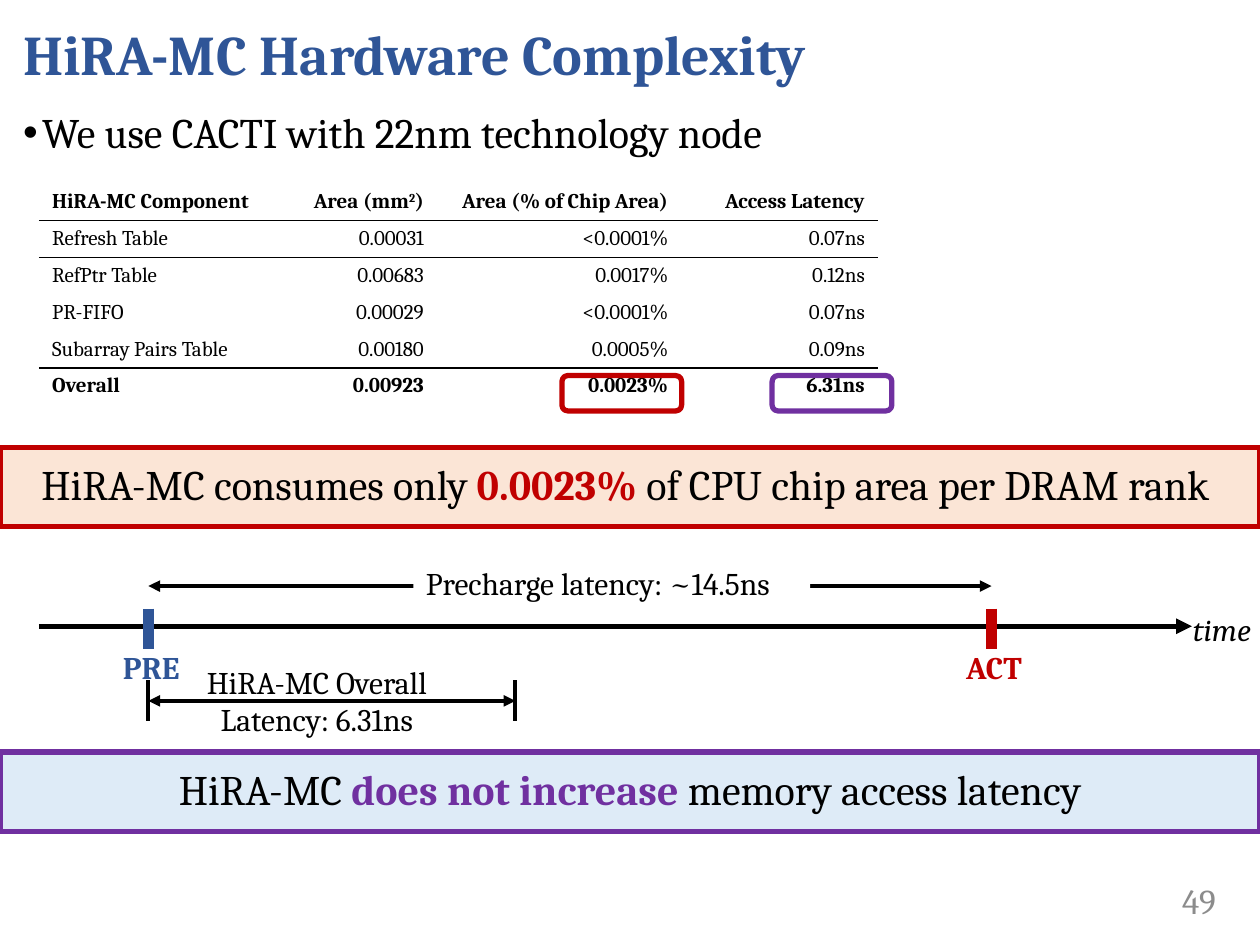
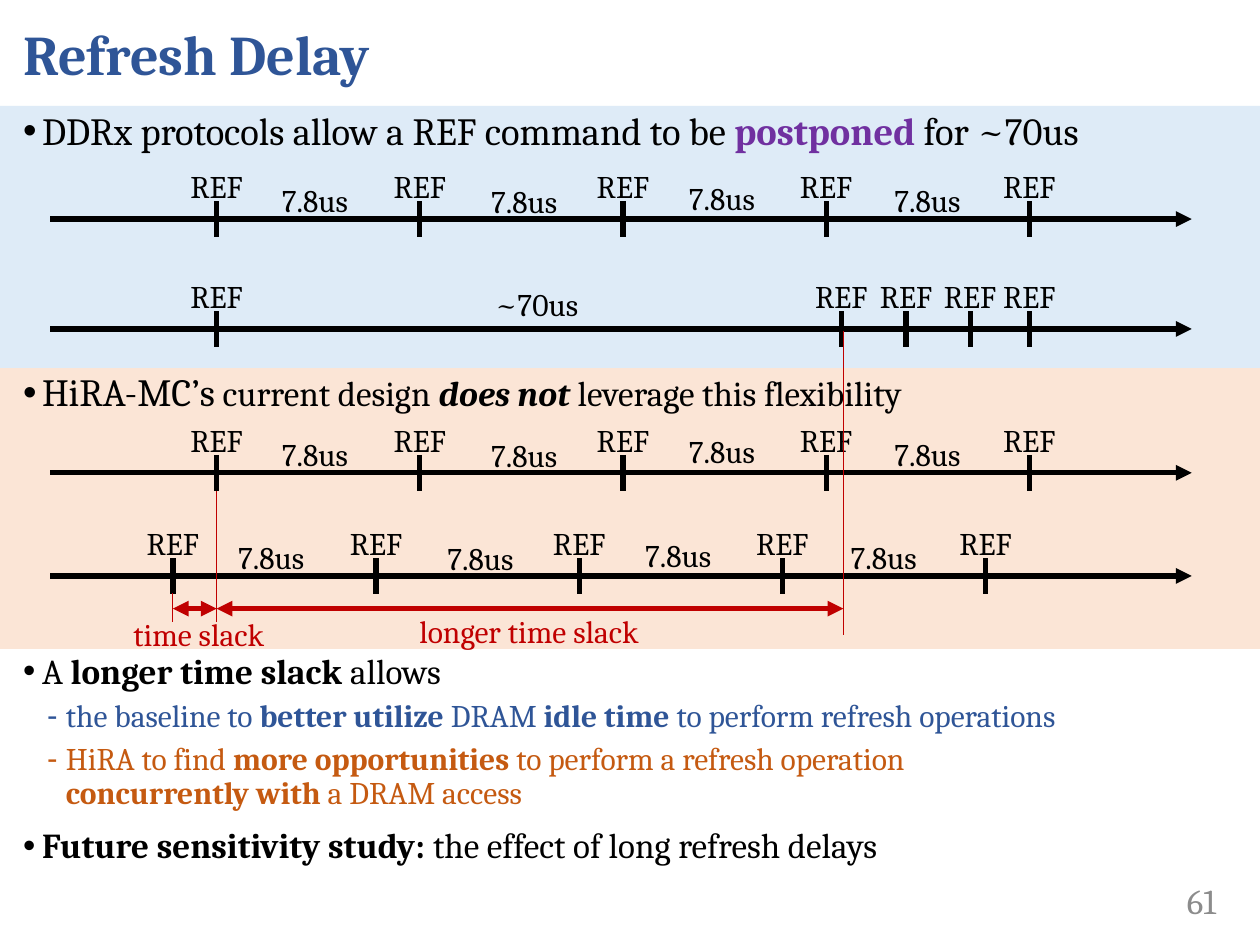
from lxml import etree
from pptx import Presentation
from pptx.dml.color import RGBColor
from pptx.enum import shapes, text
from pptx.oxml import ns
from pptx.util import Pt

FONT = "Cambria"
BLACK, WHITE, GREY = "000000", "FFFFFF", "8C8C8C"
BLUE, RED, PURPLE, ORANGE = "2F5597", "C00000", "7030A0", "C55A11"
PALE_BLUE, PALE_ORANGE = "DEEBF7", "FBE5D6"
WIDTH, HEIGHT = 720, 540
LEFT, RIGHT = text.PP_ALIGN.LEFT, text.PP_ALIGN.RIGHT
CENTER = text.PP_ALIGN.CENTER
MIDDLE = text.MSO_ANCHOR.MIDDLE
BODY_LEAD = 0.9


def rgb(value):
    return RGBColor.from_string(value)


def sub(parent, tag, **attrs):
    return etree.SubElement(parent, ns.qn(tag), **attrs)


# ---- Text ----

def add_runs(p, runs, size, color=BLACK):
    """Each run is a string, or (string, changes to size, color, b, i, base)."""
    for run in runs:
        words, style = (run, {}) if isinstance(run, str) else run
        for n, piece in enumerate(words.split("\n")):
            if n:
                p.add_line_break()
            if not piece:
                continue
            r = p.add_run()
            r.text = piece
            r.font.name = FONT
            r.font.size = Pt(style.get("size", size))
            r.font.bold = style.get("b", False)
            r.font.italic = style.get("i", False)
            r.font.color.rgb = rgb(style.get("color", color))
            if "base" in style:
                r.font._element.set("baseline", str(style["base"] * 1000))


def place(sp, left, top, width, height):
    sp.left, sp.top, sp.width, sp.height = map(Pt, (left, top, width, height))


def add_label(s, words, left, top, width, height=28.8, size=18, color=BLACK,
              align=LEFT, fill=None, wrap=False, **style):
    sp = s.shapes.add_textbox(*map(Pt, (left, top, width, height)))
    if fill:
        sp.fill.solid()
        sp.fill.fore_color.rgb = rgb(fill)
    tf = sp.text_frame
    tf.word_wrap = wrap
    tf.auto_size = text.MSO_AUTO_SIZE.SHAPE_TO_FIT_TEXT
    p = tf.paragraphs[0]
    p.alignment = align
    add_runs(p, [(words, style)], size, color)
    return sp


def add_bullet(p, char, margin):
    pPr = p._p.get_or_add_pPr()
    pPr.set("marL", str(Pt(margin)))
    pPr.set("indent", str(Pt(-10.8)))
    sub(pPr, "a:buFont", typeface="Arial")
    sub(pPr, "a:buChar", char=char)


def fill_body(s, items):
    """Each item is (level, space before, size, colour, runs)."""
    body = s.placeholders[1]
    place(body, 6, 60.5, 708, 440)
    tf = body.text_frame
    tf.auto_size = text.MSO_AUTO_SIZE.NONE
    for n, (level, before, size, color, runs) in enumerate(items):
        p = tf.add_paragraph() if n else tf.paragraphs[0]
        p.level = level
        add_bullet(p, "•-"[level], (10.8, 24.5)[level])
        p.line_spacing = BODY_LEAD
        p.space_before = Pt(before)
        p.space_after = Pt(0)
        add_runs(p, runs, size, color)


def gap_for(sizes):
    """Room left for the diagram between two bullets, counted in text lines."""
    return round(sum(10 + size * 1.2 * BODY_LEAD for size in sizes) + 10, 1)


def new_slide(prs, title, number):
    s = prs.slides.add_slide(prs.slide_layouts[1])
    place(s.shapes.title, 6, 0, 708, 60.5)
    tf = s.shapes.title.text_frame
    tf.auto_size = text.MSO_AUTO_SIZE.NONE
    tf.vertical_anchor = MIDDLE
    p = tf.paragraphs[0]
    p.alignment = LEFT
    p.space_after = Pt(6)
    add_runs(p, [(title, {"b": True})], 32, BLUE)
    page = add_label(s, number, 624, 500.4, 78, size=20, color=GREY,
                     align=RIGHT, wrap=True)
    page.text_frame.auto_size = text.MSO_AUTO_SIZE.NONE
    page.text_frame.vertical_anchor = MIDDLE
    return s


# ---- Shapes and lines ----

def add_box(s, left, top, width, height, fill=None, line=None,
            kind=shapes.MSO_SHAPE.RECTANGLE):
    sp = s.shapes.add_shape(kind, *map(Pt, (left, top, width, height)))
    sp.shadow.inherit = False
    if fill:
        sp.fill.solid()
        sp.fill.fore_color.rgb = rgb(fill)
    else:
        sp.fill.background()
    if line:
        sp.line.color.rgb = rgb(line)
        sp.line.width = Pt(3)
    else:
        sp.line.fill.background()
    return sp


def add_banner(s, top, fill, line, runs):
    tf = add_box(s, 0, top, WIDTH, 45.4, fill, line).text_frame
    tf.word_wrap = True
    tf.vertical_anchor = MIDDLE
    p = tf.paragraphs[0]
    p.alignment = CENTER
    p.line_spacing = BODY_LEAD
    add_runs(p, runs, 24)


def add_band(s, top, height, fill):
    band = add_box(s, 0, top, WIDTH, height, fill)
    s.shapes._spTree.insert(2, band._element)  # behind the placeholders


def add_line(s, x1, y1, x2, y2, color=BLACK, width=3.0, arrows=""):
    """arrows holds 'head' and/or 'tail' for the start and the end."""
    c = s.shapes.add_connector(shapes.MSO_CONNECTOR.STRAIGHT,
                               *map(Pt, (x1, y1, x2, y2)))
    c.line.color.rgb = rgb(color)
    c.line.width = Pt(width)
    ln = c.line._get_or_add_ln()
    for end in ("head", "tail"):
        if end in arrows:
            sub(ln, f"a:{end}End", type="triangle")
    sub(c._element.spPr, "a:effectLst")


# ---- Table ----

def rule_cell(cell, sides):
    tcPr = cell._tc.get_or_add_tcPr()
    for side in ("B", "T"):
        if side in sides:
            ln = etree.Element(ns.qn(f"a:ln{side}"), w=str(Pt(1)))
            sub(sub(ln, "a:solidFill"), "a:srgbClr", val=BLACK)
            tcPr.insert(0, ln)


def add_cost_table(s, left, top, widths, rows, ruled_rows, bold_rows):
    row_height = 21
    t = s.shapes.add_table(len(rows), len(widths), Pt(left), Pt(top),
                           Pt(sum(widths)), Pt(row_height * len(rows))).table
    t.first_row = t.horz_banding = False
    for col, width in zip(t.columns, widths):
        col.width = Pt(width)
    for i, row in enumerate(rows):
        t.rows[i].height = Pt(row_height)
        sides = "B" * (i in ruled_rows) + "T" * (i - 1 in ruled_rows)
        for j, value in enumerate(row):
            cell = t.cell(i, j)
            cell.fill.background()
            rule_cell(cell, sides)
            p = cell.text_frame.paragraphs[0]
            p.alignment = RIGHT if j else LEFT
            runs = [value] if isinstance(value, str) else value
            bold = {"b": i in bold_rows}
            add_runs(p, [(r, bold) if isinstance(r, str)
                         else (r[0], {**bold, **r[1]}) for r in runs], 12)


# ---- Timelines of refresh commands ----

FIRST_REF, REF_STEP = 123.8, 116.1
INTERVALS = ((30.2, -25.2), (149.8, -24.5), (262.8, -26.6), (380.2, -25.2))


def regular_refs(first):
    return [first + REF_STEP * n for n in range(5)]


def add_timeline(s, y, refs, intervals=False):
    add_line(s, 28.8, y, 681, y, arrows="tail")
    for x in refs:
        add_line(s, x, y - 10.2, x, y + 10.2)
        add_label(s, "REF", x - 22.1, y - 33.1, 49.7)
    if intervals:
        for dx, dy in INTERVALS:
            add_label(s, "7.8us", refs[0] + dx, y + dy, 56.2)


# ---- Slides ----

def complexity_slide(prs):
    s = new_slide(prs, "HiRA-MC Hardware Complexity", "49")
    fill_body(s, [(0, 0, 24, BLACK, ["We use CACTI with 22nm technology node"])])
    rows = [
        ["HiRA-MC Component", ["Area (mm", ("2", {"base": 30}), ")"],
         "Area (% of Chip Area)", "Access Latency"],
        ["Refresh Table", "0.00031", "<0.0001%", "0.07ns"],
        ["RefPtr Table", "0.00683", "0.0017%", "0.12ns"],
        ["PR-FIFO", "0.00029", "<0.0001%", "0.07ns"],
        ["Subarray Pairs Table", "0.00180", "0.0005%", "0.09ns"],
        ["Overall", "0.00923", "0.0023%", "6.31ns"],
    ]
    add_cost_table(s, 22.6, 105, (129.6, 97.2, 139.7, 112.3), rows,
                   ruled_rows=(0, 1, 4), bold_rows=(0, 5))
    for left, color in ((321.1, RED), (441.2, PURPLE)):
        add_box(s, left, 214.6, 68.4, 20.2, line=color,
                kind=shapes.MSO_SHAPE.ROUNDED_RECTANGLE)
    add_banner(s, 429.8, PALE_BLUE, PURPLE, [
        "HiRA-MC ", ("does not increase ", {"b": True, "color": PURPLE}),
        "memory access latency"])
    add_banner(s, 255.6, PALE_ORANGE, RED, [
        "HiRA-MC consumes only ", ("0.0023%", {"b": True, "color": RED}),
        " of CPU chip area per DRAM rank "])

    # HiRA-MC latency measured from PRE
    pre, act, done = 84.8, 566.6, 294.5
    add_line(s, pre, 400.5, done, 400.5, width=2.25, arrows="head tail")
    add_label(s, "HiRA-MC Overall\nLatency: 6.31ns", 108.7, 375.1, 144.7, 51.1,
              align=CENTER)
    for x in (done, pre):
        add_line(s, x, 388.8, x, 411.8, width=2.25)

    # Command timeline
    add_line(s, 22.3, 357.9, 681.1, 357.9, arrows="tail")
    for x, name, color in ((pre, "PRE", BLUE), (act, "ACT", RED)):
        add_line(s, x, 347.8, x, 370.8, color, 6)
        add_label(s, name, x - 21.6, 366.5, 48.2, color=color, b=True)
    add_line(s, pre, 334.9, act, 334.9, width=2.25, arrows="head tail")
    add_label(s, "Precharge latency: ~14.5ns", 236.2, 319, 226.8, fill=WHITE)
    add_label(s, "time", 674.6, 344.9, 49.7, i=True)


def delay_slide(prs):
    s = new_slide(prs, "Refresh Delay", "61")
    add_band(s, 60.5, 149.8, PALE_BLUE)
    add_band(s, 210.3, 160.5, PALE_ORANGE)
    bold, small = {"b": True}, {"size": 20}
    fill_body(s, [
        (0, 0, 22, BLACK, [
            "DDRx protocols allow a REF command to be ",
            ("postponed", {"b": True, "color": PURPLE}), " for ~70us"]),
        (0, gap_for((16, 16, 16, 22)), 22, BLACK, [
            "HiRA-MC’s", (" current design ", small),
            ("does not ", {"b": True, "i": True, "size": 20}),
            ("leverage this flexibility", small)]),
        (0, gap_for((20, 20, 20, 20)), 20, BLACK, [
            "A ", ("longer time slack ", bold), "allows"]),
        (1, 5, 18, BLUE, [
            "the baseline to ", ("better utilize", bold), " DRAM ",
            ("idle time ", bold), "to perform refresh operations"]),
        (1, 5, 18, ORANGE, [
            "HiRA to find ", ("more opportunities ", bold),
            "to perform a refresh operation\n",
            ("concurrently with", bold), " a DRAM access"]),
        (0, 10, 20, BLACK, [
            ("Future sensitivity study:", bold),
            " the effect of long refresh delays"]),
    ])

    # Postponed refreshes above, current design below
    on_time = regular_refs(FIRST_REF)
    early = regular_refs(FIRST_REF - 25)
    add_timeline(s, 125.2, on_time, intervals=True)
    add_timeline(s, 188, [on_time[0], 480.8, 517.8, 554.4, on_time[-1]])
    add_label(s, "~70us", 275.8, 159.1, 65.5)
    add_timeline(s, 270.2, on_time, intervals=True)
    add_timeline(s, 329.1, early, intervals=True)

    # Time slack
    start, due, latest, slack_y = early[0], on_time[0], 482, 347.8
    for x, top, bottom in ((due, 280.8, 355.7), (start, 339.1, 355.7),
                           (latest, 189.4, 362.9)):
        add_line(s, x, top, x, bottom, RED, 0.5)
    for x1, x2 in ((due, start), (latest, due)):
        add_line(s, x1, slack_y, x2, slack_y, RED, arrows="head tail")
    add_label(s, "time slack", 69.1, 347.8, 92.9, color=RED)
    add_label(s, "longer time slack", due, 346.3, 357.1, color=RED,
              align=CENTER, wrap=True)


def main():
    prs = Presentation()
    prs.slide_width, prs.slide_height = Pt(WIDTH), Pt(HEIGHT)
    complexity_slide(prs)
    delay_slide(prs)
    prs.save("out.pptx")


if __name__ == "__main__":
    main()
